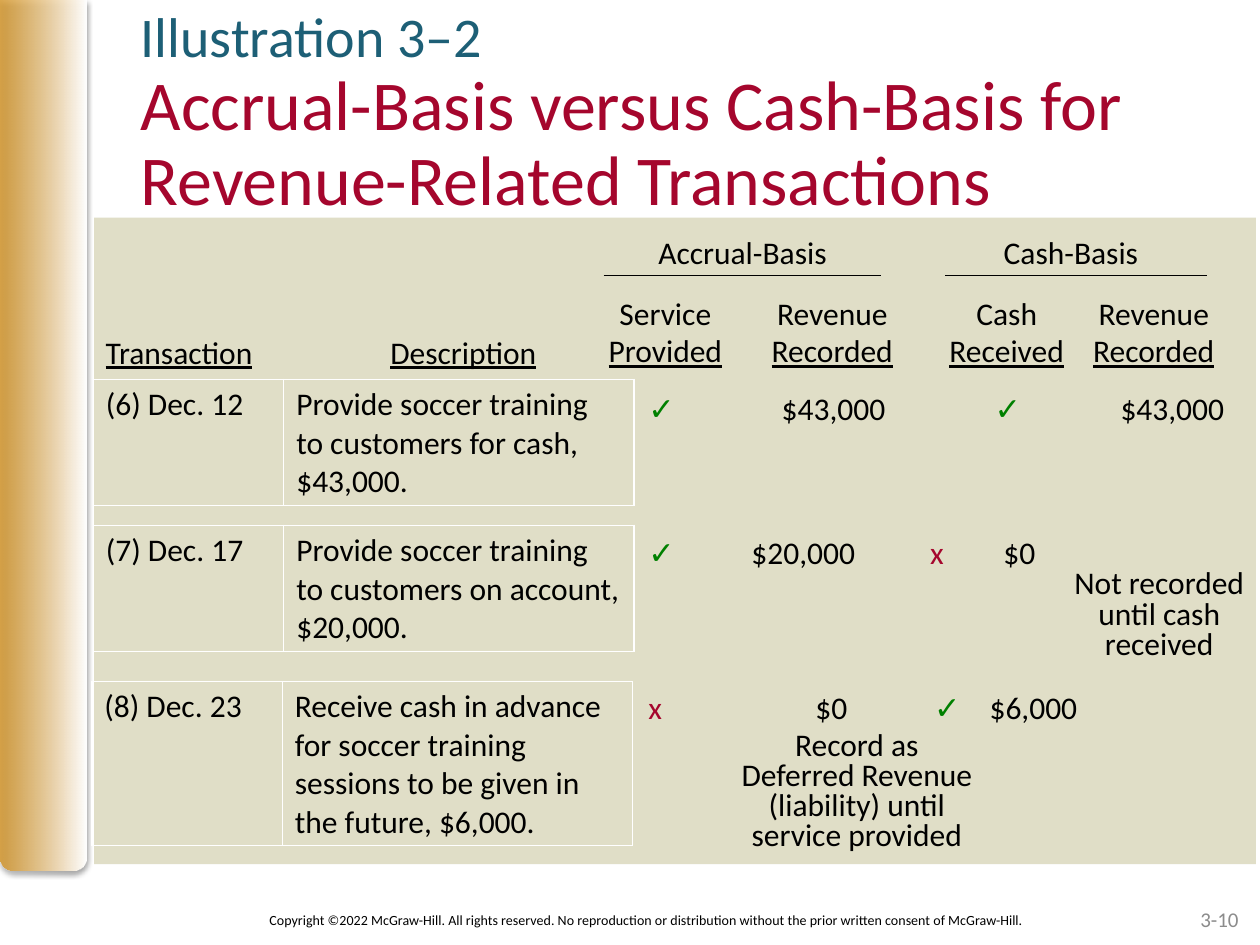
"""Build the slide comparing accrual-basis and cash-basis revenue."""
from lxml import etree
from pptx import Presentation
from pptx import util as u
from pptx.dml.color import RGBColor
from pptx.enum import shapes, text
from pptx.oxml import ns

THEME = {
    "font": "Calibri", "mark_font": "Arial",
    "black": "000000", "teal": "1D5F76", "red": "A5062D", "green": "008000",
    "grey": "8C8C8C", "panel": "D4D0B0", "gold": "D49323", "white": "FFFFFF",
    "kicker": 32, "title": 40, "body": 18, "number": 12, "copyright": 8,
}
KICKER = "Illustration 3–2"
TITLE = "Accrual-Basis versus Cash-Basis for Revenue-Related Transactions"
COPYRIGHT = ("Copyright ©2022 McGraw-Hill. All rights reserved. No reproduction or "
             "distribution without the prior written consent of McGraw-Hill.")
PAGE = "3-10"
BASES = [("Accrual-Basis", 4, 12.17, 17.75), ("Cash-Basis", 10.62, 19.05, 24.33)]
COLUMNS = [("Service", "Provided", 12.17, 2.49), ("Revenue", "Recorded", 15.27, 3.02),
           ("Cash", "Received", 19.05, 2.49), ("Revenue", "Recorded", 21.84, 2.84)]
LABELS = [("Transaction", 1.88), ("Description", 7.62)]
TRANSACTIONS = [
    ("(6) Dec. 12", "Provide soccer training to customers for cash, $43,000.", (1.88, 7.65, 2.54),
     7.72, [("✓", 0.64), ("$43,000", 3.33), ("✓", 7.62), ("$43,000", 10.16)]),
    ("(7) Dec. 17", "Provide soccer training to customers on account, $20,000.", (1.88, 10.59, 2.54),
     10.62, [("✓", 0.64), ("$20,000", 2.72), ("x", 6.32), ("$0", 7.8)]),
    ("(8) Dec. 23", "Receive cash in advance for soccer training sessions to be given in "
     "the future, $6,000.", (1.85, 13.74, 3.3),
     13.74, [("x", 0.64), ("$0", 4.01), ("✓", 6.4), ("$6,000", 7.52)]),
]
NOTES = [("Not recorded until cash received", (21.06, 11.38, 4.62, 2.11)),
         ("Record as Deferred Revenue (liability) until service provided",
          (14.66, 14.63, 5.23, 2.74))]
MARKS = {"✓": ("mark_font", "green", True), "x": ("font", "red", False)}
TABLE_COLUMNS = (3.84, 7.06)
ALIGN = text.PP_ALIGN


def style(font, size="body", color="black", face="font"):
    font.size = u.Pt(THEME[size])
    font.name = THEME[face]
    font.color.rgb = RGBColor.from_string(THEME[color])


def add_text(slide, box, lines, align=ALIGN.LEFT, inset=True, middle=False, **look):
    frame = slide.shapes.add_textbox(*map(u.Cm, box)).text_frame
    frame.word_wrap = True
    if not inset:
        frame.margin_left = frame.margin_right = frame.margin_top = frame.margin_bottom = 0
    if middle:
        frame.vertical_anchor = text.MSO_ANCHOR.MIDDLE
    frame.text = "\n".join(lines)
    for paragraph in frame.paragraphs:
        paragraph.alignment = align
        style(paragraph.font, **look)
    return frame


def add_tabbed(slide, box, items, kind, inset=True):
    frame = add_text(slide, box, [""], inset=inset)
    paragraph = frame.paragraphs[0]
    stops = etree.Element(ns.qn("a:tabLst"))
    for item, stop in items:
        etree.SubElement(stops, ns.qn("a:tab"), pos=str(u.Cm(stop)), algn=kind)
        run = paragraph.add_run()
        run.text = "\t" + item
        face, color, bold = MARKS.get(item, ("font", "black", False))
        style(run.font, color=color, face=face)
        run.font.bold = bold
    paragraph._p.get_or_add_pPr().insert(0, stops)


def set_alpha(color, percent):
    etree.SubElement(color, ns.qn("a:alpha"), val=str(percent * 1000))


def add_block(slide, preset, box):
    block = slide.shapes.add_shape(preset, *map(u.Cm, box))
    block.shadow.inherit = False
    block.line.fill.background()
    return block


def add_panel(slide):
    panel = add_block(slide, shapes.MSO_SHAPE.RECTANGLE, (1.9, 4.39, 23.42, 13.03))
    panel.fill.solid()
    panel.fill.fore_color.rgb = RGBColor.from_string(THEME["panel"])
    set_alpha(next(panel._element.spPr.iter(ns.qn("a:srgbClr"))), 70)


def add_side_bar(slide):
    bar = add_block(slide, shapes.MSO_SHAPE.ROUND_2_SAME_RECTANGLE, (0, 0, 1.75, 17.55))
    properties = bar._element.spPr
    properties.find(ns.qn("a:xfrm")).set("flipV", "1")
    bar.fill.gradient()
    bar.fill.gradient_angle = 0
    for stop, color in zip(bar.fill.gradient_stops, ("gold", "white")):
        stop.color.rgb = RGBColor.from_string(THEME[color])
    set_alpha(next(properties.iter(ns.qn("a:srgbClr"))), 80)
    shadow = etree.SubElement(
        properties.find(ns.qn("a:effectLst")), ns.qn("a:outerShdw"),
        blurRad=str(u.Pt(3.1)), dist=str(u.Pt(1.8)), dir="5400000", rotWithShape="0")
    set_alpha(etree.SubElement(shadow, ns.qn("a:srgbClr"), val=THEME["black"]), 35)


def add_rule(slide, left, right, top):
    rule = slide.shapes.add_connector(
        shapes.MSO_CONNECTOR.STRAIGHT, u.Cm(left), u.Cm(top), u.Cm(right), u.Cm(top))
    rule.line.color.rgb = RGBColor.from_string(THEME["black"])
    rule.line.width = u.Pt(0.75)
    etree.SubElement(rule._element.spPr, ns.qn("a:effectLst"))


def add_transaction(slide, date, description, place):
    left, top, height = place
    table = slide.shapes.add_table(
        1, 2, u.Cm(left), u.Cm(top), u.Cm(sum(TABLE_COLUMNS)), u.Cm(height)).table
    table.first_row = table.horz_banding = False
    for index, content in enumerate((date, description)):
        table.columns[index].width = u.Cm(TABLE_COLUMNS[index])
        cell = table.cell(0, index)
        cell.fill.background()
        cell.text = content
        style(cell.text_frame.paragraphs[0].font)


def main():
    deck = Presentation()
    deck.slide_width, deck.slide_height = u.Cm(25.4), u.Cm(19.05)
    slide = deck.slides.add_slide(deck.slide_layouts[6])
    add_text(slide, (3.96, 18.03, 18.16, 1.02), [COPYRIGHT], ALIGN.CENTER, middle=True,
             size="copyright")
    add_panel(slide)
    heading = add_text(slide, (2.59, 1.24, 22.86, 2.16), [KICKER, TITLE], middle=True,
                       size="title", color="red")
    style(heading.paragraphs[0].font, "kicker", "teal")
    for paragraph in heading.paragraphs:
        paragraph.line_spacing = 0.9
    add_side_bar(slide)
    add_tabbed(slide, (10.97, 4.7, 14.33, 0.76), [base[:2] for base in BASES], "ctr", inset=False)
    for _, _, left, right in BASES:
        add_rule(slide, left, right, 5.56)
    for first, second, left, width in COLUMNS:
        column = add_text(slide, (left, 5.92, width, 1.55), [first, second], ALIGN.CENTER,
                          inset=False)
        column.paragraphs[1].font.underline = True
    add_text(slide, (19.05, 18.01, 5.92, 1.02), [PAGE], ALIGN.RIGHT, inset=False, middle=True,
             size="number", color="grey")
    for note, box in NOTES:
        add_text(slide, box, [note], ALIGN.CENTER).paragraphs[0].line_spacing = 0.8
    for label, left in LABELS:
        add_text(slide, (left, 6.58, 3.84, 1.02), [label]).paragraphs[0].font.underline = True
    for date, description, place, top, results in TRANSACTIONS:
        add_tabbed(slide, (12.18, top, 13.1, 1.02), results, "l")
        add_transaction(slide, date, description, place)
    deck.save("out.pptx")


if __name__ == "__main__":
    main()
